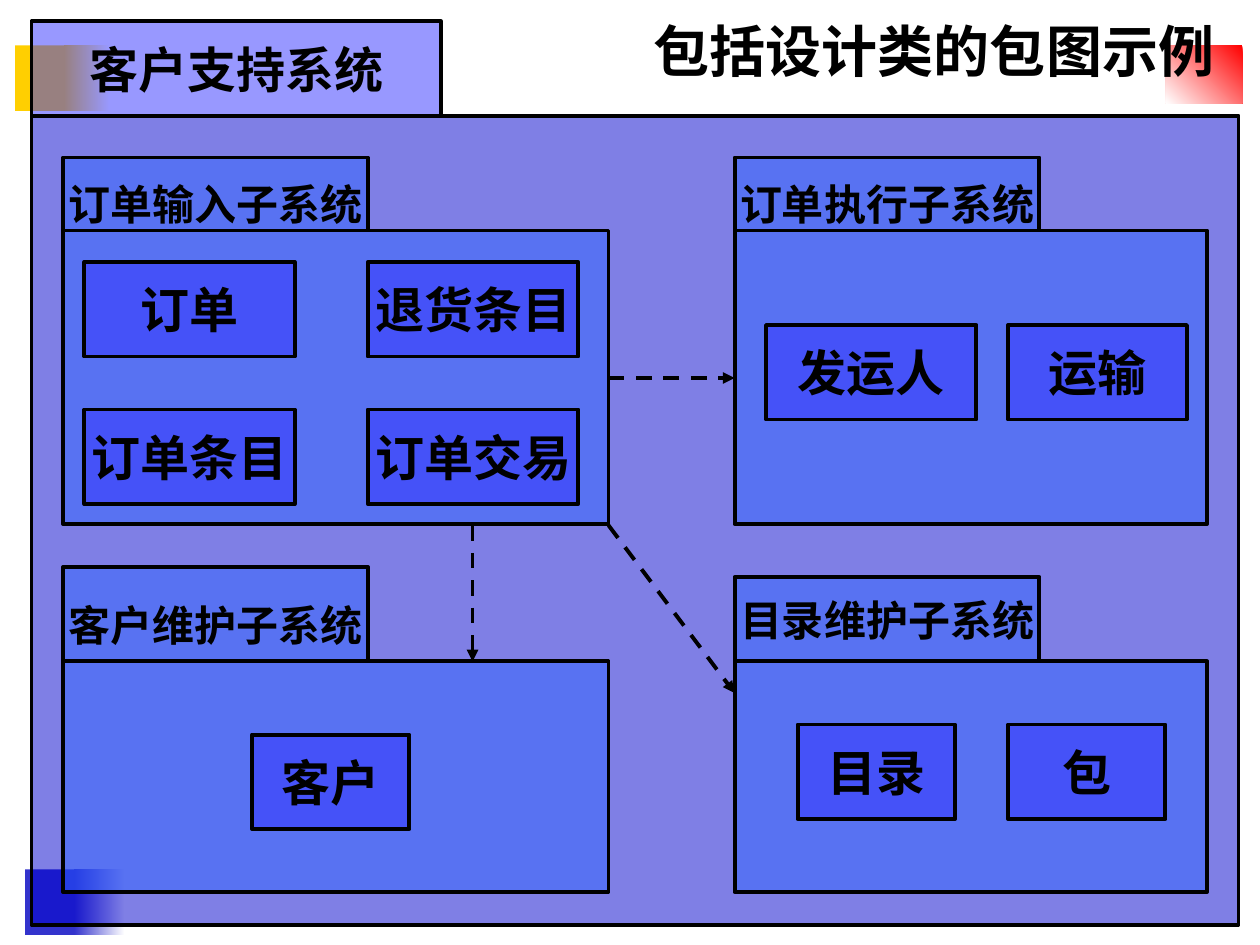
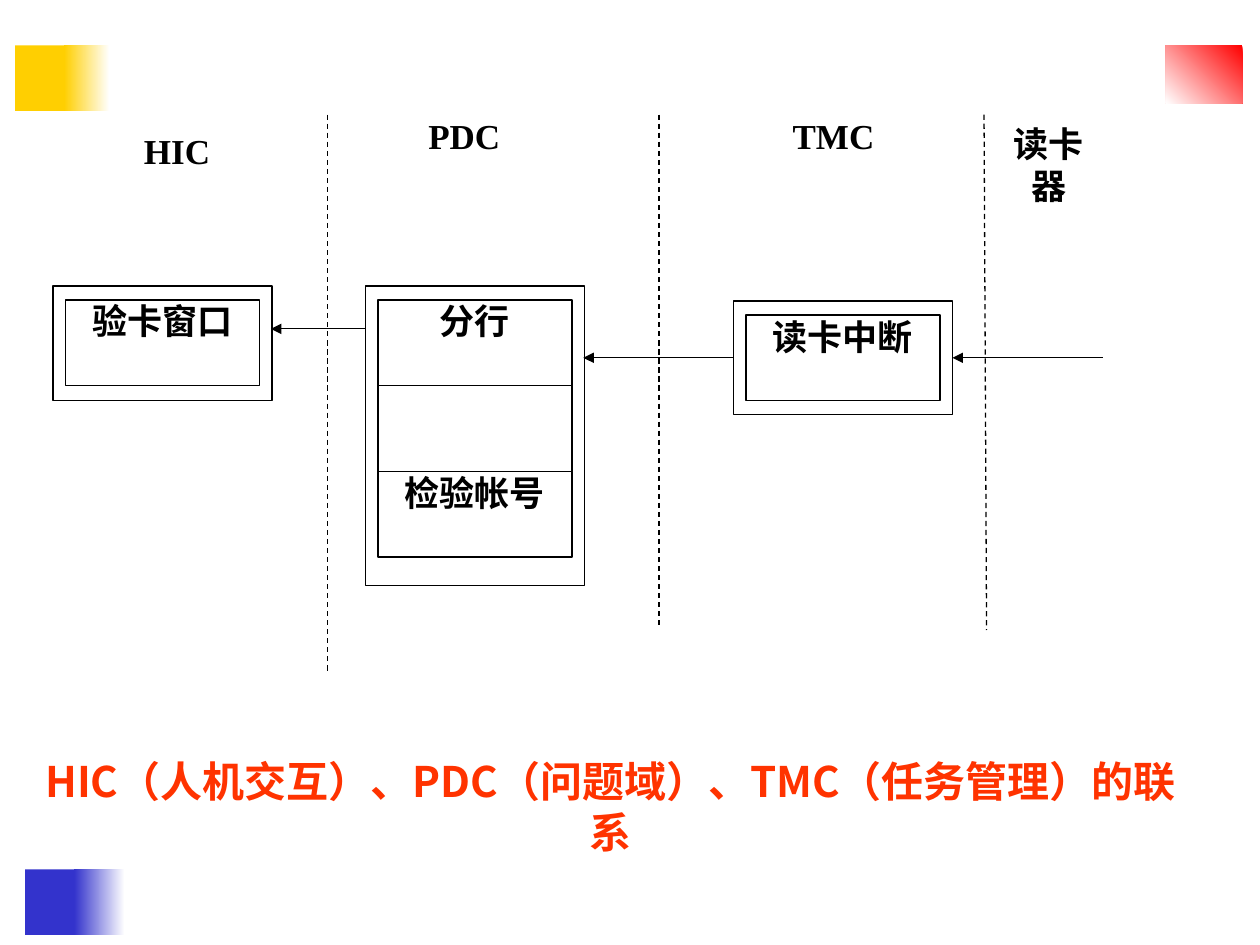
import pptx
import pptx.util
import pptx.dml.color
import pptx.enum.dml
import pptx.enum.shapes
import pptx.enum.text
import pptx.oxml
import pptx.oxml.ns
import lxml.etree

Inches = pptx.util.Inches
Pt = pptx.util.Pt
RGBColor = pptx.dml.color.RGBColor
qn = pptx.oxml.ns.qn
RECT = pptx.enum.shapes.MSO_SHAPE.RECTANGLE
TOP = pptx.enum.text.MSO_ANCHOR.TOP
MIDDLE = pptx.enum.text.MSO_ANCHOR.MIDDLE

BLACK = RGBColor(0x00, 0x00, 0x00)
WHITE = RGBColor(0xFF, 0xFF, 0xFF)
GOLD = RGBColor(0xFF, 0xCF, 0x01)
NAVY = RGBColor(0x33, 0x33, 0xCC)
RED = RGBColor(0xFF, 0x00, 0x00)
ORANGE = RGBColor(0xFF, 0x33, 0x00)
SYSTEM = RGBColor(0x00, 0x00, 0xCC)
PACKAGE = RGBColor(0x33, 0x66, 0xFF)
CLASS = RGBColor(0x33, 0x33, 0xFF)

SERIF, ROMAN, SANS = "Cambria", "Times New Roman", "Noto Sans CJK SC"

# Corner marks on every slide: place, first colour, last colour, angle
MARKS = [
    ((0.12, 0.36, 0.48, 0.52), GOLD, None, 0),
    ((0.51, 0.36, 0.36, 0.52), WHITE, GOLD, 180),
    ((0.2, 6.9, 0.46, 0.52), NAVY, None, 0),
    ((0.59, 6.9, 0.4, 0.52), WHITE, NAVY, 180),
    ((9.25, 0.36, 0.61, 0.46), RED, WHITE, 225),
]

# Slide 1: packages hold classes given as name, left, top, width
TITLE = "包括设计类的包图示例"
ROOT = "客户支持系统"
TAB_W, CLASS_H, THICK = 2.42, 0.75, 2.25
PACKS = [
    dict(name="客户维护子系统", at=(0.5, 5.25, 4.33, 1.83), tab=0.75, loose=True,
         items=[("客户", 2, 5.83, 1.25)]),
    dict(name="订单输入子系统", at=(0.5, 1.83, 4.33, 2.33), tab=0.58, loose=True,
         items=[("订单条目", 0.67, 3.25, 1.67), ("订单交易", 2.92, 3.25, 1.67),
                ("订单", 0.67, 2.08, 1.67), ("退货条目", 2.92, 2.08, 1.67)]),
    dict(name="目录维护子系统", at=(5.83, 5.25, 3.75, 1.83), tab=0.67, loose=False,
         items=[("目录", 6.33, 5.75, 1.25), ("包", 8, 5.75, 1.25)]),
    dict(name="订单执行子系统", at=(5.83, 1.83, 3.75, 2.33), tab=0.58, loose=True,
         items=[("发运人", 6.08, 2.58, 1.67), ("运输", 8, 2.58, 1.42)]),
]
USES = [(4.83, 4.17, 5.83, 5.5), (3.75, 4.17, 3.75, 5.25), (4.83, 3, 5.83, 3)]

# Slide 2: each frame is left, top, height and its stacked cells
CELL_W, CELL_H, PAD_X, PAD_Y, THIN = 1.54, 0.68, 0.1, 0.11, 0.75
FRAMES = [
    (5.82, 2.39, 0.9, ["读卡中断"]),
    (2.9, 2.27, 2.38, ["分行", "", "检验帐号"]),
    (0.42, 2.27, 0.91, ["验卡窗口"]),
]
HEADS = [("HIC", 1.01, 1.03), ("PDC", 3.29, 0.91),
         ("TMC", 6.22, 0.91), ("读卡器", 7.93, 0.97)]
SPLITS = [(2.6, 0.91, 2.6, 5.33), (5.23, 0.91, 5.23, 4.99), (7.81, 0.91, 7.83, 5)]
CALLS = [(5.82, 2.84, 4.63, 2.84), (2.9, 2.61, 2.15, 2.61), (8.75, 2.84, 7.56, 2.84)]
CAPTION = "HIC（人机交互）、PDC（问题域）、TMC（任务管理）的联系"


def write(shape, text, size, font, color=BLACK, anchor=TOP, inset=True,
          wrap=True, loose=False):
    frame = shape.text_frame
    frame.word_wrap = wrap
    frame.vertical_anchor = anchor
    frame.margin_left = frame.margin_right = Inches(0.1 if inset else 0)
    frame.margin_top = frame.margin_bottom = Inches(0.05 if inset else 0)
    para = frame.paragraphs[0]
    para.alignment = pptx.enum.text.PP_ALIGN.CENTER
    if loose:
        para.line_spacing = 1.4
        para.space_before = Pt(6)
    run = para.add_run()
    run.text = text
    run.font.name = font
    run.font.size = Pt(size)
    run.font.bold = True
    run.font.color.rgb = color


def box(slide, at, fill=None, width=0, alpha=None):
    shape = slide.shapes.add_shape(RECT, *map(Inches, at))
    shape.shadow.inherit = False
    if fill is None:
        shape.fill.background()
    else:
        shape.fill.solid()
        shape.fill.fore_color.rgb = fill
    if alpha:
        color = shape.element.spPr.find(qn("a:solidFill")).find(qn("a:srgbClr"))
        lxml.etree.SubElement(color, qn("a:alpha")).set("val", str(alpha * 1000))
    if width:
        shape.line.color.rgb = BLACK
        shape.line.width = Pt(width)
    else:
        shape.line.fill.background()
    return shape


def link(slide, ends, width, dash=False, arrow=False):
    line = slide.shapes.add_connector(
        pptx.enum.shapes.MSO_CONNECTOR.STRAIGHT, *map(Inches, ends))
    line.line.color.rgb = BLACK
    line.line.width = Pt(width)
    if dash:
        line.line.dash_style = pptx.enum.dml.MSO_LINE.DASH
    props = line.element.spPr
    if arrow:
        tail = lxml.etree.SubElement(props.find(qn("a:ln")), qn("a:tailEnd"))
        tail.set("type", "triangle")
    lxml.etree.SubElement(props, qn("a:effectLst"))


def start(deck):
    slide = deck.slides.add_slide(deck.slide_layouts[6])
    for at, first, last, angle in MARKS:
        mark = box(slide, at, first)
        if last is not None:
            mark.fill.gradient()
            mark.fill.gradient_angle = angle
            for stop, color in zip(mark.fill.gradient_stops, (first, last)):
                stop.color.rgb = color
    return slide


def packages(deck):
    slide = start(deck)

    def part(at, fill, text="", size=28, font=SERIF, loose=False):
        shape = box(slide, at, fill, THICK, 50)
        if text:
            write(shape, text, size, font, anchor=MIDDLE, wrap=False, loose=loose)

    # Whole system and title
    part((0.25, 0.92, 9.58, 6.42), SYSTEM)
    part((0.25, 0.17, 3.25, 0.75), CLASS, ROOT)
    title = slide.shapes.add_textbox(*map(Inches, (4.83, 0.08, 5.17, 0.64)))
    write(title, TITLE, 32, SERIF)

    # Subsystems, their tabs and classes
    for pack in PACKS:
        left, top = pack["at"][:2]
        part(pack["at"], PACKAGE)
        part((left, top - pack["tab"], TAB_W, pack["tab"]), PACKAGE,
             pack["name"], 24, ROMAN, pack["loose"])
        for name, x, y, wide in pack["items"]:
            part((x, y, wide, CLASS_H), CLASS, name)

    # Dependencies
    for ends in USES:
        link(slide, ends, THICK, dash=True, arrow=True)


def layers(deck):
    slide = start(deck)

    # Column heads
    for text, x, y in HEADS:
        head = box(slide, (x, y, 0.79, 0.57), WHITE)
        write(head, text, 20, ROMAN, inset=False)

    # Frames with stacked cells
    for left, top, high, cells in FRAMES:
        box(slide, (left, top, CELL_W + 2 * PAD_X, high), width=THIN)
        for row, text in enumerate(cells):
            at = (left + PAD_X, top + PAD_Y + row * CELL_H, CELL_W, CELL_H)
            cell = box(slide, at, WHITE, THIN)
            if text:
                write(cell, text, 20, ROMAN, inset=False)

    # Column borders and messages
    for ends in SPLITS:
        link(slide, ends, THIN, dash=True)
    for ends in CALLS:
        link(slide, ends, THIN, arrow=True)

    # Caption
    note = box(slide, (0.2, 6, 9.29, 0.5), WHITE)
    write(note, CAPTION, 24, SANS, ORANGE, inset=False)


def main():
    deck = pptx.Presentation()
    deck.slide_width, deck.slide_height = Inches(10), Inches(7.5)
    packages(deck)
    layers(deck)
    deck.save("out.pptx")


if __name__ == "__main__":
    main()
